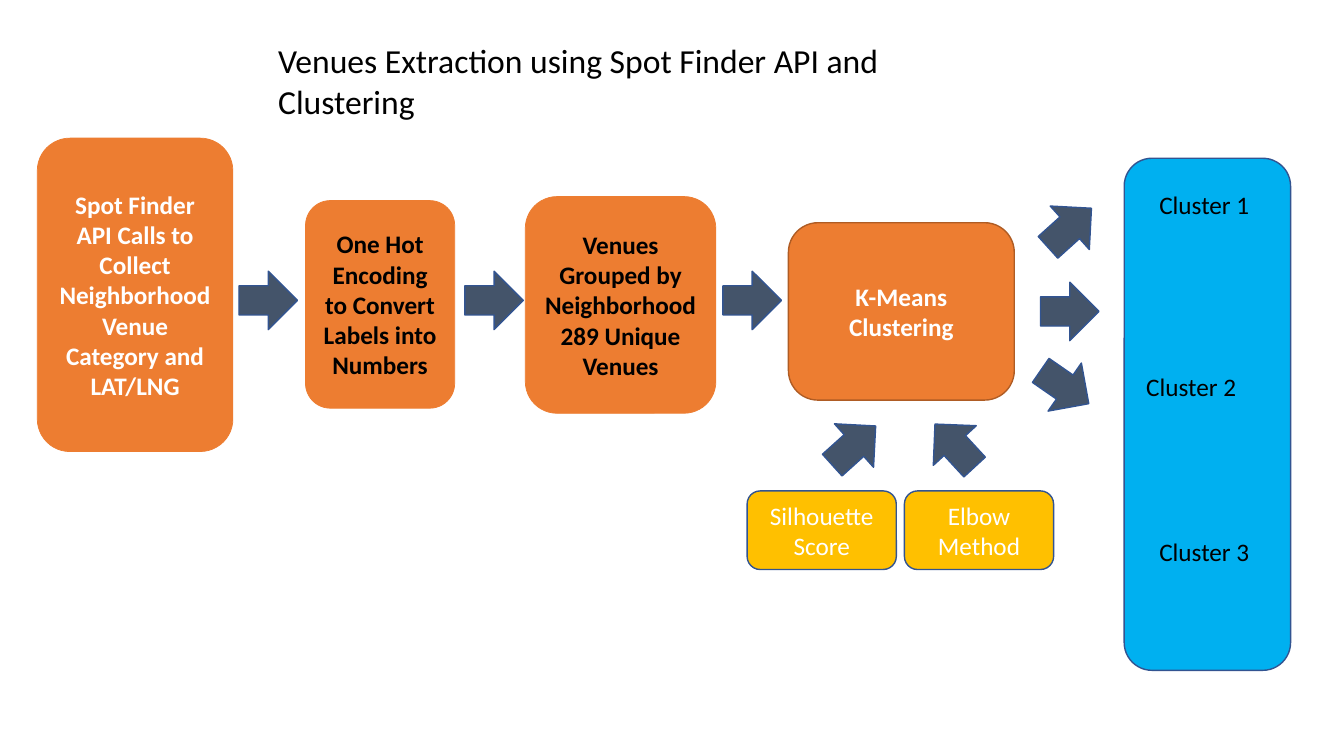
from pptx import Presentation
from pptx.dml.color import RGBColor
from pptx.enum.shapes import MSO_SHAPE
from pptx.enum.text import MSO_ANCHOR, MSO_AUTO_SIZE, PP_ALIGN
from pptx.util import Inches, Pt

ORANGE = RGBColor(0xED, 0x7D, 0x31)
BROWN = RGBColor(0xAF, 0x5C, 0x24)
SKY = RGBColor(0x00, 0xB0, 0xF0)
GOLD = RGBColor(0xFF, 0xC0, 0x00)
SLATE = RGBColor(0x44, 0x54, 0x6A)
NAVY = RGBColor(0x32, 0x54, 0x91)
BLACK = RGBColor(0x00, 0x00, 0x00)
WHITE = RGBColor(0xFF, 0xFF, 0xFF)

FONT = "Calibri"
ARROW_SIZE = 0.58

# left, top, width, height, text, text colour, line colour, line width
STEPS = [
    (0.37, 1.37, 1.94, 3.11,
     "Spot Finder API Calls to Collect Neighborhood Venue Category and LAT/LNG",
     WHITE, ORANGE, 0.5),
    (3.03, 1.99, 1.48, 2.06, "One Hot Encoding to Convert Labels into Numbers",
     BLACK, ORANGE, 0.5),
    (5.21, 1.95, 1.89, 2.15, "Venues Grouped by Neighborhood 289 Unique Venues",
     BLACK, ORANGE, 0.5),
    (7.82, 2.21, 2.24, 1.76, "K-Means Clustering", WHITE, BROWN, 1),
]
CLUSTERS = [(11.4, 1.83, "Cluster 1"), (11.27, 3.63, "Cluster 2"),
            (11.4, 5.27, "Cluster 3")]
METHODS = [(7.41, "Silhouette Score"), (8.97, "Elbow Method")]

# left, top, rotation
METHOD_ARROWS = [(8.18, 4.13, 48), (9.18, 4.13, 317.3)]
STEP_ARROWS = [(left, 2.69, 90) for left in (2.37, 4.61, 7.17)]
CLUSTER_ARROWS = [(10.32, 2.8, 90), (10.32, 1.97, 48), (10.27, 3.55, 124.7)]


def add_span(frame, text, size, color, bold=False):
    span = frame.paragraphs[0].add_run()
    span.text = text
    span.font.name = FONT
    span.font.size = Pt(size)
    span.font.bold = bold
    span.font.color.rgb = color


def add_filled_shape(page, kind, left, top, width, height, fill, line, line_width=1):
    shape = page.shapes.add_shape(
        kind, Inches(left), Inches(top), Inches(width), Inches(height))
    shape.shadow.inherit = False
    shape.fill.solid()
    shape.fill.fore_color.rgb = fill
    shape.line.color.rgb = line
    shape.line.width = Pt(line_width)
    return shape


def add_centred_text(shape, text, color, bold=False):
    frame = shape.text_frame
    frame.word_wrap = True
    frame.vertical_anchor = MSO_ANCHOR.MIDDLE
    frame.paragraphs[0].alignment = PP_ALIGN.CENTER
    add_span(frame, text, 18, color, bold)


def add_label(page, left, top, width, height, text, size):
    box = page.shapes.add_textbox(
        Inches(left), Inches(top), Inches(width), Inches(height))
    frame = box.text_frame
    frame.word_wrap = True
    frame.auto_size = MSO_AUTO_SIZE.SHAPE_TO_FIT_TEXT
    add_span(frame, text, size, BLACK)


def add_block_arrow(page, left, top, rotation):
    arrow = add_filled_shape(page, MSO_SHAPE.UP_ARROW, left, top,
                             ARROW_SIZE, ARROW_SIZE, SLATE, NAVY)
    arrow.rotation = rotation


def main():
    deck = Presentation()
    deck.slide_width = Inches(13.33)
    deck.slide_height = Inches(7.5)
    page = deck.slides.add_slide(deck.slide_layouts[6])
    rounded = MSO_SHAPE.ROUNDED_RECTANGLE

    for left, top, width, height, text, color, line, line_width in STEPS:
        step = add_filled_shape(page, rounded, left, top, width, height,
                                ORANGE, line, line_width)
        add_centred_text(step, text, color, bold=True)

    add_filled_shape(page, rounded, 11.15, 1.57, 1.65, 5.08, SKY, NAVY)
    for left, top, text in CLUSTERS:
        add_label(page, left, top, 1.26, 0.4, text, 18)

    for left, text in METHODS:
        method = add_filled_shape(page, rounded, left, 4.87, 1.48, 0.78, GOLD, NAVY)
        add_centred_text(method, text, WHITE)

    for left, top, rotation in METHOD_ARROWS + STEP_ARROWS + CLUSTER_ARROWS:
        add_block_arrow(page, left, top, rotation)

    add_label(page, 2.66, 0.35, 6.88, 0.91,
              "Venues Extraction using Spot Finder API and Clustering", 24)
    deck.save("out.pptx")


if __name__ == "__main__":
    main()
